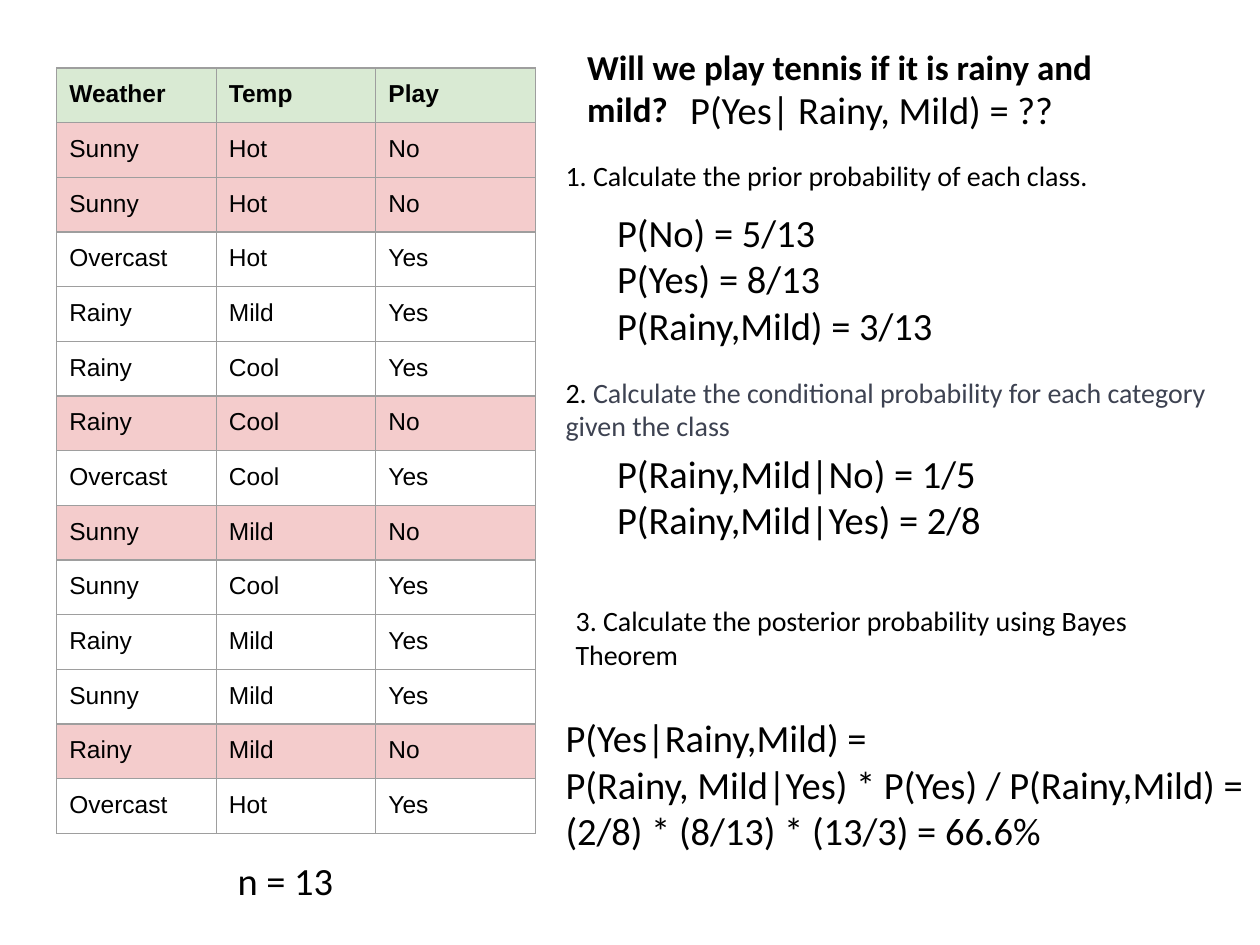
from dataclasses import dataclass

from lxml import etree
from pptx import Presentation
from pptx import util as u
from pptx.dml import color
from pptx.enum import text
from pptx.oxml import ns

BLACK = "000000"
SLATE = "3D4251"
GREEN = "D9EAD3"
PINK = "F4CCCC"
GRAY = "9E9E9E"


@dataclass
class TextBlock:
    left: float
    top: float
    width: float
    height: float
    words: str
    size: int
    align: text.PP_ALIGN = text.PP_ALIGN.LEFT


QUESTION = TextBlock(4.56, 0.26, 4.66, 0.88, "Will we play tennis if it is rainy and mild?", 20)
CONDITIONAL_STEP = TextBlock(4.39, 2.88, 5.39, 0.74, "2. ", 16)
BLOCKS = [
    TextBlock(4.39, 1.16, 5.09, 0.47, "1. Calculate the prior probability of each class.", 16),
    TextBlock(4.8, 1.56, 3.8, 1.31, "P(No) = 5/13\nP(Yes) = 8/13\nP(Rainy,Mild) = 3/13", 22),
    TextBlock(4.8, 3.47, 3.8, 0.94, "P(Rainy,Mild|No) = 1/5\nP(Rainy,Mild|Yes) = 2/8", 22),
    TextBlock(4.47, 4.69, 5.22, 0.74, "3. Calculate the posterior probability using Bayes Theorem", 16),
    TextBlock(
        4.39, 5.57, 5.76, 1.68,
        "P(Yes|Rainy,Mild) =\n"
        "P(Rainy, Mild|Yes) * P(Yes) / P(Rainy,Mild) =\n"
        "(2/8) * (8/13) * (13/3) = 66.6%",
        22,
    ),
    TextBlock(1.47, 6.7, 1.59, 0.57, "n = 13", 22, text.PP_ALIGN.CENTER),
    TextBlock(5.38, 0.58, 3.8, 0.57, "P(Yes| Rainy, Mild) = ??", 22),
]

OBSERVATIONS = [
    ("Weather", "Temp", "Play"),
    ("Sunny", "Hot", "No"),
    ("Sunny", "Hot", "No"),
    ("Overcast", "Hot", "Yes"),
    ("Rainy", "Mild", "Yes"),
    ("Rainy", "Cool", "Yes"),
    ("Rainy", "Cool", "No"),
    ("Overcast", "Cool", "Yes"),
    ("Sunny", "Mild", "No"),
    ("Sunny", "Cool", "Yes"),
    ("Rainy", "Mild", "Yes"),
    ("Sunny", "Mild", "Yes"),
    ("Rainy", "Mild", "No"),
    ("Overcast", "Hot", "Yes"),
]


def rgb(value: str) -> color.RGBColor:
    return color.RGBColor.from_string(value)


def style_run(run, size: int, font: str, fill: str = BLACK, bold: bool = False) -> None:
    run.font.size = u.Pt(size)
    run.font.name = font
    run.font.bold = bold
    run.font.color.rgb = rgb(fill)


def fill_block(shape, block: TextBlock, bold: bool = False) -> None:
    shape.left, shape.top = u.Inches(block.left), u.Inches(block.top)
    shape.width, shape.height = u.Inches(block.width), u.Inches(block.height)
    frame = shape.text_frame
    frame.text = block.words
    frame.word_wrap = True
    frame.auto_size = text.MSO_AUTO_SIZE.SHAPE_TO_FIT_TEXT
    frame.vertical_anchor = text.MSO_ANCHOR.TOP
    frame.margin_left = frame.margin_right = u.Inches(0.1)
    frame.margin_top = frame.margin_bottom = u.Inches(0.1)
    for paragraph in frame.paragraphs:
        paragraph.alignment = block.align
        for run in paragraph.runs:
            style_run(run, block.size, "Calibri", bold=bold)


def add_block(slide, block: TextBlock):
    shape = slide.shapes.add_textbox(0, 0, u.Inches(block.width), u.Inches(block.height))
    fill_block(shape, block)
    return shape


def add_borders(cell) -> None:
    properties = cell._tc.get_or_add_tcPr()
    for index, side in enumerate(("lnL", "lnR", "lnT", "lnB")):
        line = etree.Element(ns.qn(f"a:{side}"), w=str(u.Pt(0.75)))
        fill = etree.SubElement(line, ns.qn("a:solidFill"))
        etree.SubElement(fill, ns.qn("a:srgbClr"), val=GRAY)
        properties.insert(index, line)


def format_cell(cell, words: str, fill: str | None, bold: bool) -> None:
    cell.text_frame.text = words
    cell.margin_left = cell.margin_right = u.Inches(0.1)
    cell.margin_top = cell.margin_bottom = u.Inches(0.1)
    style_run(cell.text_frame.paragraphs[0].runs[0], 14, "Arial", bold=bold)
    if fill:
        cell.fill.solid()
        cell.fill.fore_color.rgb = rgb(fill)
    else:
        cell.fill.background()
    add_borders(cell)


def add_observations(slide) -> None:
    row_count, column_count = len(OBSERVATIONS), len(OBSERVATIONS[0])
    table = slide.shapes.add_table(
        row_count, column_count,
        u.Inches(0.45), u.Inches(0.54), u.Inches(3.8), u.Inches(6.06),
    ).table
    table.first_row = False
    table.horz_banding = False
    for row_index, observation in enumerate(OBSERVATIONS):
        is_header = row_index == 0
        fill = GREEN if is_header else PINK if observation[-1] == "No" else None
        for column_index, words in enumerate(observation):
            format_cell(table.cell(row_index, column_index), words, fill, is_header)


def main() -> None:
    presentation = Presentation()
    presentation.slide_width = u.Inches(10)
    presentation.slide_height = u.Inches(7.5)
    slide = presentation.slides.add_slide(presentation.slide_layouts[5])
    fill_block(slide.shapes.title, QUESTION, bold=True)
    add_observations(slide)
    step = add_block(slide, CONDITIONAL_STEP)
    run = step.text_frame.paragraphs[0].add_run()
    run.text = "Calculate the conditional probability for each category given the class"
    style_run(run, CONDITIONAL_STEP.size, "Calibri", SLATE)
    for block in BLOCKS:
        add_block(slide, block)
    presentation.save("out.pptx")


if __name__ == "__main__":
    main()
